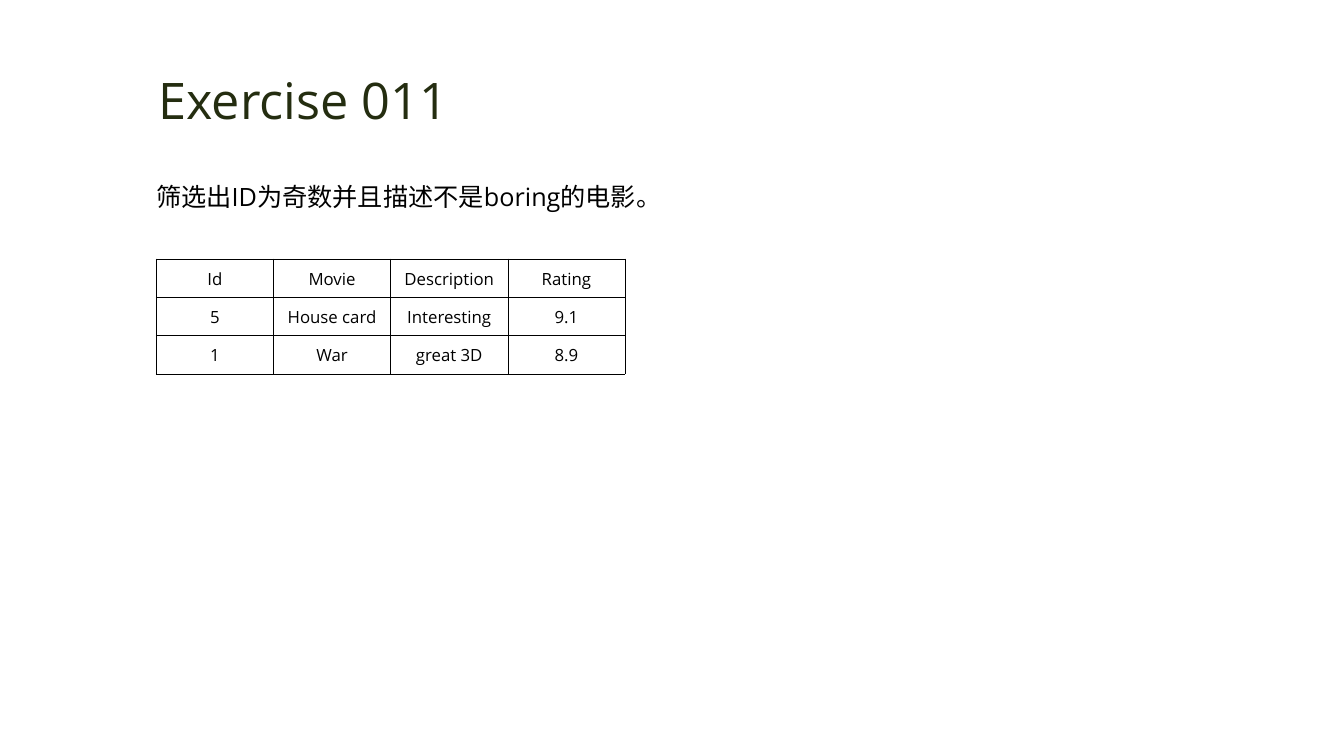
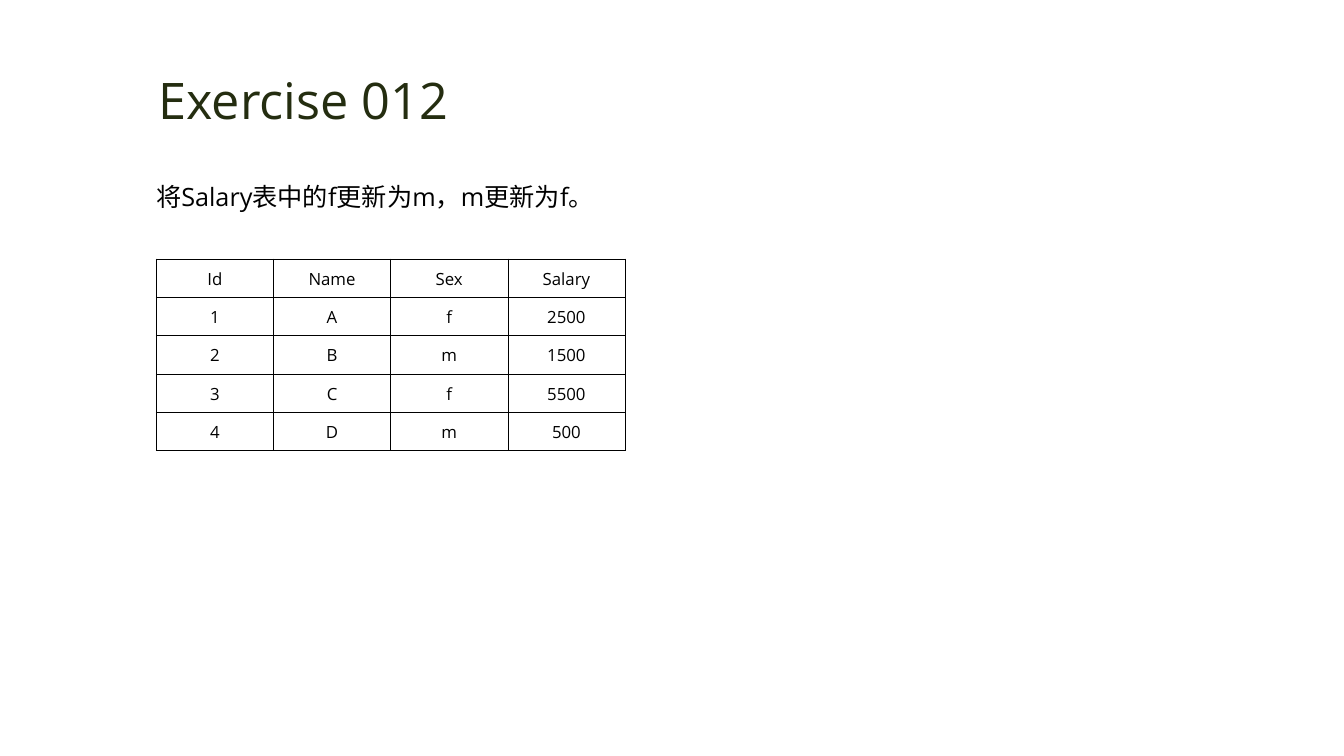
from lxml import etree
from pptx import Presentation
from pptx import util as u
from pptx.dml.color import RGBColor
from pptx.enum import text
from pptx.oxml.ns import qn

EXERCISES = [
    {
        "title": "Exercise 011",
        "task": "筛选出ID为奇数并且描述不是boring的电影。",
        "rows": [
            ("Id", "Movie", "Description", "Rating"),
            ("5", "House card", "Interesting", "9.1"),
            ("1", "War", "great 3D", "8.9"),
        ],
    },
    {
        "title": "Exercise 012",
        "task": "将Salary表中的f更新为m，m更新为f。",
        "rows": [
            ("Id", "Name", "Sex", "Salary"),
            ("1", "A", "f", "2500"),
            ("2", "B", "m", "1500"),
            ("3", "C", "f", "5500"),
            ("4", "D", "m", "500"),
        ],
    },
]

COLORS = {"title": "242D10", "text": "000000", "border": "000000"}
FONT = "Open Sans"
TITLE_ONLY = 5
TABLE_WIDTH = u.Inches(4.65)
ROW_HEIGHT = u.Inches(0.38)
BORDER_WIDTH = u.Pt(0.5)
CELL_MARGIN = u.Inches(0.01)


def write(frame, content, size, color, align):
    frame.text = content
    para = frame.paragraphs[0]
    para.alignment = align
    span = para.runs[0]
    span.font.name = FONT
    span.font.size = u.Pt(size)
    span.font.color.rgb = RGBColor.from_string(COLORS[color])
    return para


def add_borders(cell):
    properties = cell._tc.get_or_add_tcPr()
    for side in ("a:lnL", "a:lnR", "a:lnT", "a:lnB"):
        line = etree.SubElement(properties, qn(side), w=str(BORDER_WIDTH))
        fill = etree.SubElement(line, qn("a:solidFill"))
        etree.SubElement(fill, qn("a:srgbClr"), val=COLORS["border"])


def add_title(slide, content):
    title = slide.shapes.title
    title.left, title.top = u.Inches(1.39), u.Inches(0.64)
    title.width, title.height = u.Inches(3.24), u.Inches(0.71)
    frame = title.text_frame
    frame.word_wrap = False
    frame.auto_size = text.MSO_AUTO_SIZE.NONE
    frame.vertical_anchor = text.MSO_ANCHOR.TOP
    write(frame, content, 36, "title", text.PP_ALIGN.CENTER)


def add_task(slide, content):
    box = slide.shapes.add_textbox(
        u.Inches(1.45), u.Inches(1.6), u.Inches(5.23), u.Inches(0.51))
    box.text_frame.word_wrap = True
    para = write(box.text_frame, content, 18, "text", text.PP_ALIGN.LEFT)
    para.line_spacing = 1.5


def add_result(slide, rows):
    table = slide.shapes.add_table(
        len(rows), len(rows[0]), u.Inches(1.55), u.Inches(2.57),
        TABLE_WIDTH, ROW_HEIGHT * len(rows)).table
    table.first_row = table.horz_banding = False
    for row, values in zip(table.rows, rows):
        for cell, value in zip(row.cells, values):
            cell.margin_left = cell.margin_right = cell.margin_top = CELL_MARGIN
            cell.margin_bottom = 0
            cell.vertical_anchor = text.MSO_ANCHOR.MIDDLE
            add_borders(cell)
            cell.fill.background()
            write(cell.text_frame, value, 12, "text", text.PP_ALIGN.CENTER)


def main():
    deck = Presentation()
    deck.slide_width, deck.slide_height = u.Inches(13.33), u.Inches(7.5)
    for exercise in EXERCISES:
        page = deck.slides.add_slide(deck.slide_layouts[TITLE_ONLY])
        add_title(page, exercise["title"])
        add_result(page, exercise["rows"])
        add_task(page, exercise["task"])
    deck.save("out.pptx")


if __name__ == "__main__":
    main()
